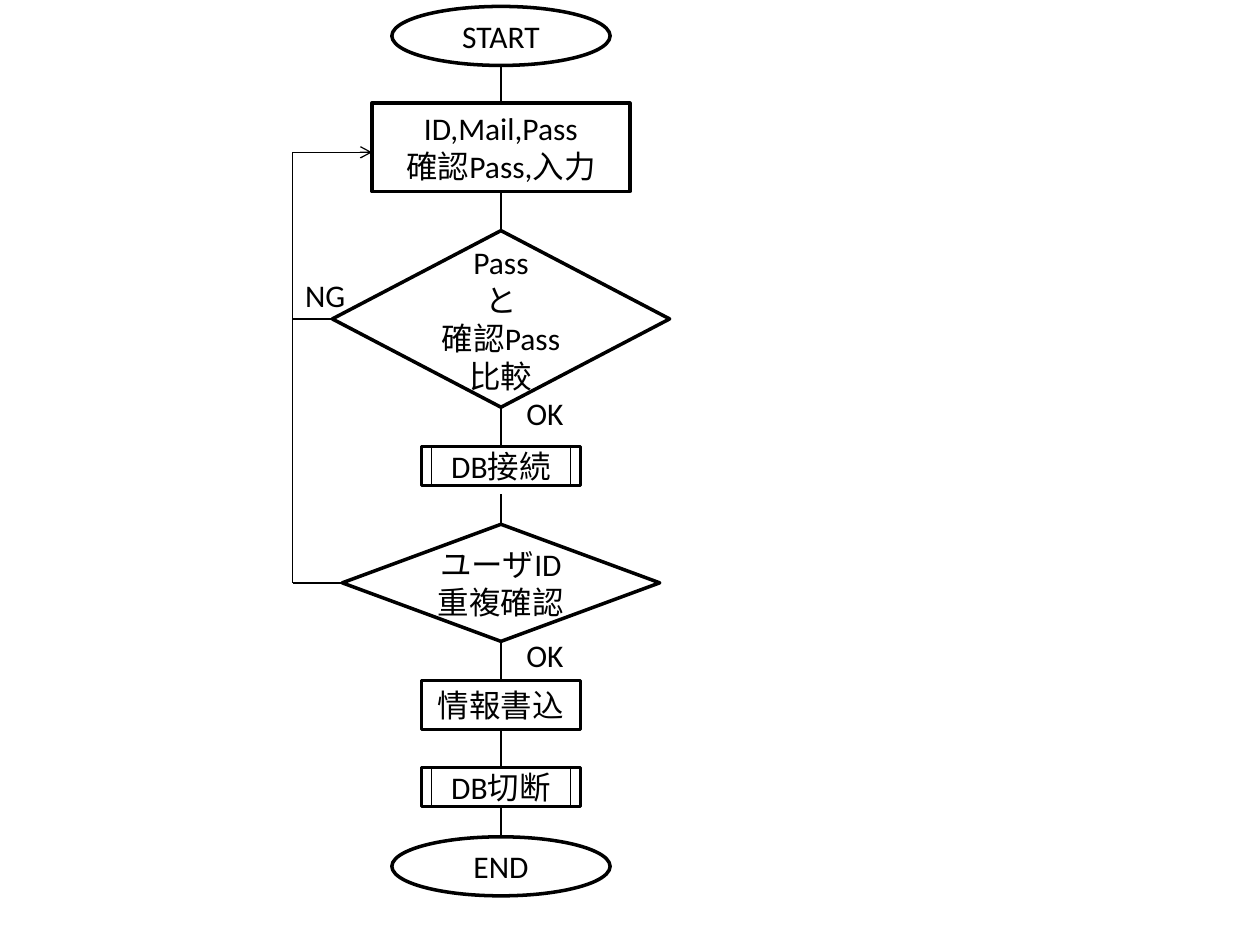
from lxml.etree import SubElement
from pptx import Presentation
from pptx.dml.color import RGBColor
from pptx.enum.shapes import MSO_CONNECTOR, MSO_SHAPE
from pptx.enum.text import MSO_ANCHOR, MSO_AUTO_SIZE, PP_ALIGN
from pptx.oxml.ns import qn
from pptx.util import Cm, Pt

COLORS = {"ink": "000000", "paper": "FFFFFF"}
FONT = {"name": "Calibri", "size": Pt(18)}
CENTER_X = 10.1
LOOP_X = 5.9
INPUT_Y = 3.07
BAR_INSET = 0.2

# Flow steps: kind, top, width, height, lines of text
STEPS = [
    ("oval", 0.13, 4.4, 1.19, ["START"]),
    ("box", 2.08, 5.2, 1.78, ["ID,Mail,Pass", "確認Pass,入力"]),
    ("decision", 4.65, 6.8, 3.56, ["Pass", "と", "確認Pass", "比較"]),
    ("routine", 9.0, 3.2, 0.79, ["DB接続"]),
    ("decision", 10.57, 6.4, 2.36, ["ユーザID", "重複確認"]),
    ("box", 13.72, 3.2, 0.99, ["情報書込"]),
    ("routine", 15.47, 3.2, 0.79, ["DB切断"]),
    ("oval", 16.87, 4.4, 1.19, ["END"]),
]
PRESETS = {
    "oval": MSO_SHAPE.OVAL,
    "box": MSO_SHAPE.RECTANGLE,
    "decision": MSO_SHAPE.DIAMOND,
    "routine": MSO_SHAPE.RECTANGLE,
}
# Branch labels: left, top, width, text
LABELS = [
    (10.36, 7.82, 2.34, "OK"),
    (5.9, 5.43, 1.6, "NG"),
    (10.36, 12.7, 2.34, "OK"),
]


def rgb(name):
    return RGBColor.from_string(COLORS[name])


def set_text(tf, lines, align):
    for i, line in enumerate(lines):
        p = tf.paragraphs[0] if i == 0 else tf.add_paragraph()
        p.alignment = align
        r = p.add_run()
        r.text = line
        for key, value in FONT.items():
            setattr(r.font, key, value)
        r.font.color.rgb = rgb("ink")


def add_line(slide, x1, y1, x2, y2, arrow=False):
    ends = [Cm(v) for v in (x1, y1, x2, y2)]
    sp = slide.shapes.add_connector(MSO_CONNECTOR.STRAIGHT, *ends)
    sp.line.color.rgb = rgb("ink")
    sp.line.width = Pt(0.75)
    if arrow:
        SubElement(sp.line._get_or_add_ln(), qn("a:tailEnd"), type="arrow")
    SubElement(sp._element.spPr, qn("a:effectLst"))


def add_step(slide, kind, top, width, height, lines):
    left = CENTER_X - width / 2
    sp = slide.shapes.add_shape(
        PRESETS[kind], Cm(left), Cm(top), Cm(width), Cm(height))
    sp.shadow.inherit = False
    sp.fill.solid()
    sp.fill.fore_color.rgb = rgb("paper")
    sp.line.color.rgb = rgb("ink")
    sp.line.width = Pt(2)
    sp.text_frame.vertical_anchor = MSO_ANCHOR.MIDDLE
    set_text(sp.text_frame, lines, PP_ALIGN.CENTER)
    # Inner bars of a subroutine
    if kind == "routine":
        for x in (left + BAR_INSET, left + width - BAR_INSET):
            add_line(slide, x, top, x, top + height)


def add_label(slide, left, top, width, text):
    sp = slide.shapes.add_textbox(Cm(left), Cm(top), Cm(width), Cm(1.03))
    tf = sp.text_frame
    tf.word_wrap = True
    tf.auto_size = MSO_AUTO_SIZE.SHAPE_TO_FIT_TEXT
    set_text(tf, [text], PP_ALIGN.LEFT)


def add_spine(slide):
    for upper, lower in zip(STEPS, STEPS[1:]):
        start, end = upper[1] + upper[3], lower[1]
        # The line into the second decision starts below the routine
        if (upper[0], lower[0]) == ("routine", "decision"):
            start, end = start + 0.17, end + 0.17
        add_line(slide, CENTER_X, start, CENTER_X, end)


def add_loop(slide):
    # Branches from both decisions back to the input step
    for kind, top, width, height, _ in STEPS:
        if kind == "decision":
            y = top + height / 2
            add_line(slide, LOOP_X, y, CENTER_X - width / 2, y)
    add_line(slide, LOOP_X, INPUT_Y, LOOP_X, y)
    input_left = CENTER_X - STEPS[1][2] / 2
    add_line(slide, LOOP_X, INPUT_Y, input_left, INPUT_Y, arrow=True)


def main():
    prs = Presentation()
    prs.slide_width, prs.slide_height = Cm(25.4), Cm(19.05)
    slide = prs.slides.add_slide(prs.slide_layouts[6])
    add_spine(slide)
    for step in STEPS:
        add_step(slide, *step)
    add_loop(slide)
    for label in LABELS:
        add_label(slide, *label)
    prs.save("out.pptx")


main()
